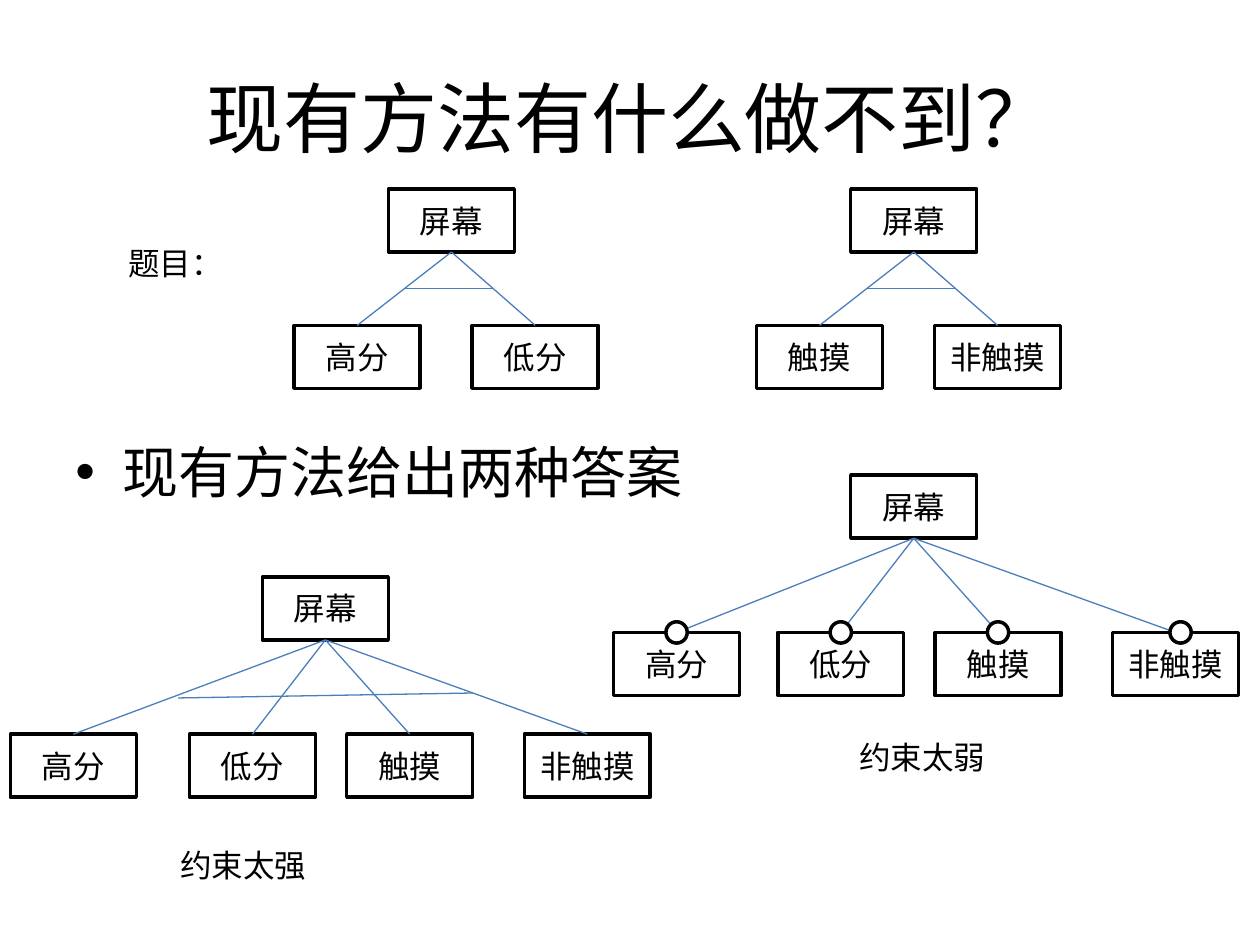
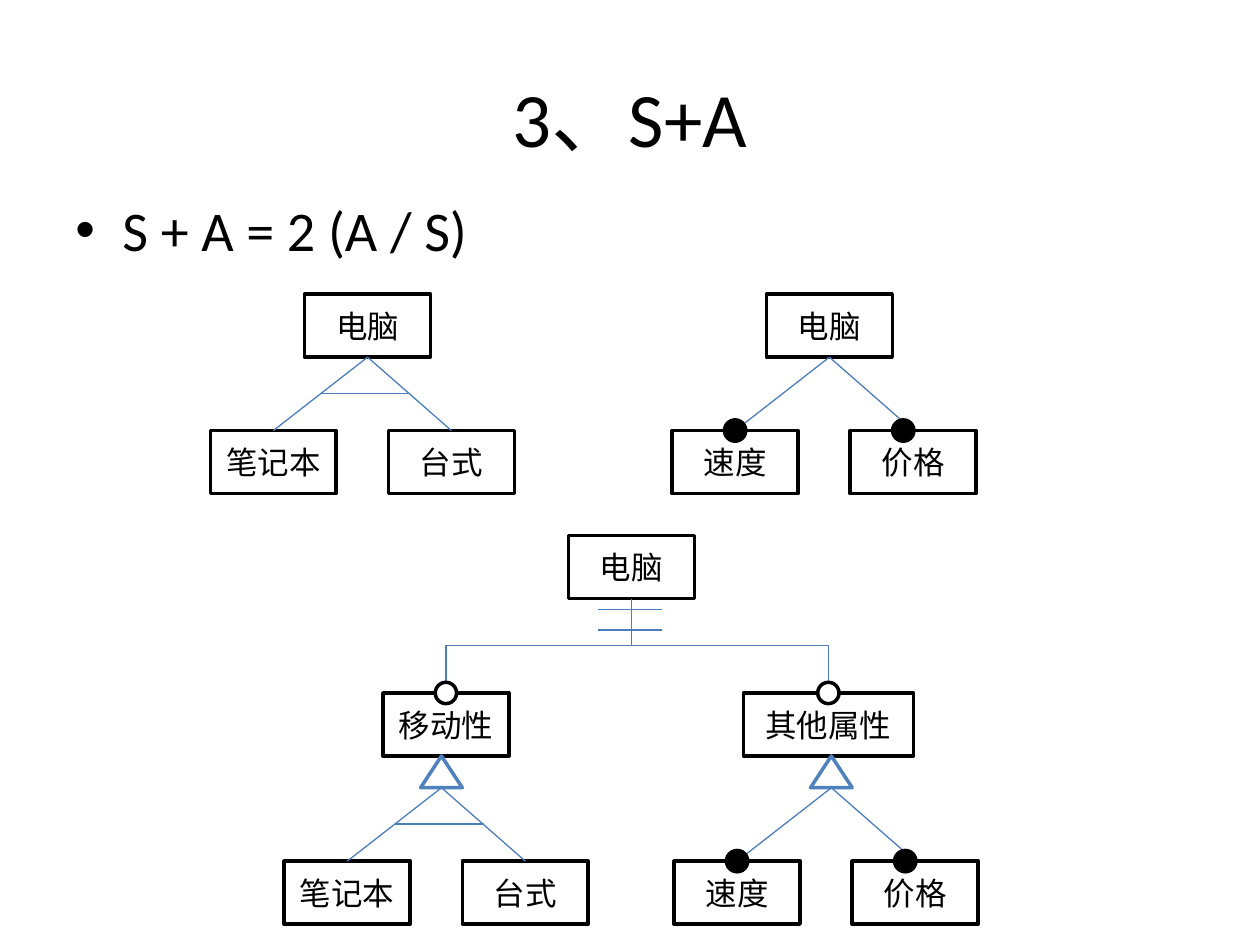
from lxml import etree
from pptx import Presentation
from pptx.dml.color import RGBColor
from pptx.enum.shapes import MSO_CONNECTOR, MSO_SHAPE
from pptx.enum.text import MSO_ANCHOR, MSO_AUTO_SIZE, PP_ALIGN
from pptx.oxml.ns import qn
from pptx.util import Cm, Pt

STRAIGHT, ELBOW = MSO_CONNECTOR.STRAIGHT, MSO_CONNECTOR.ELBOW
RECTANGLE, OVAL = MSO_SHAPE.RECTANGLE, MSO_SHAPE.OVAL
TRIANGLE = MSO_SHAPE.ISOSCELES_TRIANGLE
CENTER, LEFT = PP_ALIGN.CENTER, PP_ALIGN.LEFT
TOP_SIDE, BOTTOM_SIDE = 0, 2

COLORS = {"ink": "000000", "paper": "FFFFFF", "edge": "4B7EBC", "triangle": "4F81BD"}
FONT = "Calibri"

# Sizes in cm
SLIDE_SIZE = (25.4, 19.05)
TITLE_AREA = (1.27, 0.76, 22.86, 3.18)
BOX_WIDTH, BOX_HEIGHT = 2.54, 1.27
DOT = 0.43
TRIANGLE_WIDTH, TRIANGLE_HEIGHT = 0.84, 0.64

# Tree kinds: leaf centres and bar ends are measured from the point of branching
PAIR = {"offsets": (-1.9, 1.69), "drop": 1.48}
ALTERNATIVE = {**PAIR, "bar": ((-0.94, 0.73), (0.85, 0.73))}
MANDATORY = {**PAIR, "dots": (0, -0.2), "dot_fill": "ink"}
STRONG = {"offsets": (-5.08, -1.47, 1.7, 5.28), "drop": 1.9,
          "bar": ((-2.97, 1.17), (2.97, 1.07))}
WEAK = {"offsets": (-4.78, -1.47, 1.7, 5.28), "drop": 1.9,
        "dots": (0, 0, 0, 0.1), "dot_fill": "paper"}

RESOLUTION, TOUCH = ["高分", "低分"], ["触摸", "非触摸"]
FORMS, QUALITIES = ["笔记本", "台式"], ["速度", "价格"]

# Trees: (root text, centre x, top, kind, leaves); captions: (text, left, top, width)
SLIDES = [
    {
        "title": "现有方法有什么做不到？",
        "bullet": "现有方法给出两种答案",
        "bullet_area": (1.27, 8.69, 22.86, 8.33),
        "trees": [
            ("屏幕", 9.1, 3.81, ALTERNATIVE, RESOLUTION),
            ("屏幕", 18.42, 3.81, ALTERNATIVE, TOUCH),
            ("屏幕", 6.56, 11.63, STRONG, RESOLUTION + TOUCH),
            ("屏幕", 18.42, 9.58, WEAK, RESOLUTION + TOUCH),
        ],
        "captions": [
            ("题目：", 2.34, 4.8, 2.44),
            ("约束太强", 3.38, 16.94, 3.07),
            ("约束太弱", 17.07, 14.76, 3.07),
        ],
    },
    {
        "title": "3、S+A",
        "bullet": "S + A = 2 (A / S)",
        "bullet_area": (1.27, 3.81, 22.86, 13.21),
        "trees": [
            ("电脑", 7.41, 5.93, ALTERNATIVE, FORMS),
            ("电脑", 16.72, 5.93, MANDATORY, QUALITIES),
        ],
        "captions": [],
        "hub": {
            "text": "电脑", "center": 12.73, "top": 10.8,
            "ticks": (12.28, 12.7), "tick_span": (12.06, 13.34),
            "aspect_top": 13.97,
            # text, centre x, width, triangle centre x, kind, leaves
            "aspects": [
                ("移动性", 8.99, BOX_WIDTH, 8.9, ALTERNATIVE, FORMS),
                ("其他属性", 16.7, 3.43, 16.76, MANDATORY, QUALITIES),
            ],
        },
    },
]


def color(name):
    return RGBColor.from_string(COLORS[name])


def write(shape, text, size, align=LEFT, bullet=False, **frame_format):
    frame = shape.text_frame
    for name, value in frame_format.items():
        setattr(frame, name, value)
    paragraph = frame.paragraphs[0]
    paragraph.text = text
    paragraph.alignment = align
    if bullet:
        properties = paragraph._p.get_or_add_pPr()
        properties.set("marL", str(Cm(0.95)))
        properties.set("indent", str(-Cm(0.95)))
        etree.SubElement(properties, qn("a:buFont"), typeface="Arial")
        etree.SubElement(properties, qn("a:buChar"), char="•")
    font = paragraph.runs[0].font
    for name, value in {"name": FONT, "size": Pt(size)}.items():
        setattr(font, name, value)
    font.color.rgb = color("ink")


def add_text(slide, text, area, size, **options):
    write(slide.shapes.add_textbox(*map(Cm, area)), text, size, **options)


def add_outline(slide, kind, center, top, width, height, fill="paper", line="ink"):
    shape = slide.shapes.add_shape(
        kind, Cm(center - width / 2), Cm(top), Cm(width), Cm(height))
    shape.shadow.inherit = False
    shape.fill.solid()
    shape.fill.fore_color.rgb = color(fill)
    shape.line.color.rgb = color(line)
    shape.line.width = Pt(2)
    return shape


def add_box(slide, text, center, top, width=BOX_WIDTH):
    box = add_outline(slide, RECTANGLE, center, top, width, BOX_HEIGHT)
    write(box, text, 18, CENTER, word_wrap=True, vertical_anchor=MSO_ANCHOR.MIDDLE)
    return box


def add_dot(slide, center, middle, fill):
    add_outline(slide, OVAL, center, middle - DOT / 2, DOT, DOT, fill)


def add_edge(slide, start, end, kind=STRAIGHT):
    edge = slide.shapes.add_connector(kind, *map(Cm, (*start, *end)))
    edge.line.color.rgb = color("edge")
    edge.line.width = Pt(0.75)
    etree.SubElement(edge._element.spPr, qn("a:effectLst"))
    return edge


def add_elbow(slide, start, end):
    """Down, across and down again: an elbow turned by a quarter."""
    (x1, y1), (x2, y2) = start, end
    middle_x, middle_y = (x1 + x2) / 2, (y1 + y2) / 2
    side = 1 if x2 > x1 else -1
    half_drop, half_span = (y2 - y1) / 2, abs(x2 - x1) / 2
    elbow = add_edge(slide, (middle_x + side * half_drop, middle_y - half_span),
                     (middle_x - side * half_drop, middle_y + half_span), ELBOW)
    quarter_turns = 3 if side > 0 else 1
    elbow._element.spPr.find(qn("a:xfrm")).set("rot", str(quarter_turns * 90 * 60000))


def add_branches(slide, x, y, kind, leaves, root=None):
    leaf_top = y + kind["drop"]
    for offset, text in zip(kind["offsets"], leaves):
        leaf = add_box(slide, text, x + offset, leaf_top)
        edge = add_edge(slide, (x, y), (x + offset, leaf_top))
        if root is not None:
            edge.begin_connect(root, BOTTOM_SIDE)
        edge.end_connect(leaf, TOP_SIDE)
    if "bar" in kind:
        add_edge(slide, *[(x + dx, y + dy) for dx, dy in kind["bar"]])
    for offset, shift in zip(kind["offsets"], kind.get("dots", ())):
        add_dot(slide, x + offset + shift, leaf_top, kind["dot_fill"])


def add_hub(slide, hub):
    add_box(slide, hub["text"], hub["center"], hub["top"])
    start = (hub["center"], hub["top"] + BOX_HEIGHT)
    left, right = hub["tick_span"]
    for y in hub["ticks"]:
        add_edge(slide, (left, y), (right, y))
    top = hub["aspect_top"]
    for text, center, width, triangle_center, kind, leaves in hub["aspects"]:
        add_box(slide, text, center, top, width)
        add_elbow(slide, start, (center, top))
        add_dot(slide, center, top, "paper")
        triangle_top = top + BOX_HEIGHT
        add_outline(slide, TRIANGLE, triangle_center, triangle_top,
                    TRIANGLE_WIDTH, TRIANGLE_HEIGHT, line="triangle")
        add_branches(slide, triangle_center, triangle_top + TRIANGLE_HEIGHT, kind, leaves)


def build_slide(presentation, content):
    slide = presentation.slides.add_slide(presentation.slide_layouts[6])
    # Title and bullet
    add_text(slide, content["title"], TITLE_AREA, 44, align=CENTER,
             word_wrap=True, vertical_anchor=MSO_ANCHOR.MIDDLE)
    add_text(slide, content["bullet"], content["bullet_area"], 32,
             bullet=True, word_wrap=True)
    # Feature trees
    for text, center, top, kind, leaves in content["trees"]:
        root = add_box(slide, text, center, top)
        add_branches(slide, center, top + BOX_HEIGHT, kind, leaves, root)
    if "hub" in content:
        add_hub(slide, content["hub"])
    # Captions
    for text, left, top, width in content["captions"]:
        add_text(slide, text, (left, top, width, 1.02), 18,
                 word_wrap=False, auto_size=MSO_AUTO_SIZE.SHAPE_TO_FIT_TEXT)


def main():
    presentation = Presentation()
    presentation.slide_width, presentation.slide_height = map(Cm, SLIDE_SIZE)
    for content in SLIDES:
        build_slide(presentation, content)
    presentation.save("out.pptx")


if __name__ == "__main__":
    main()
